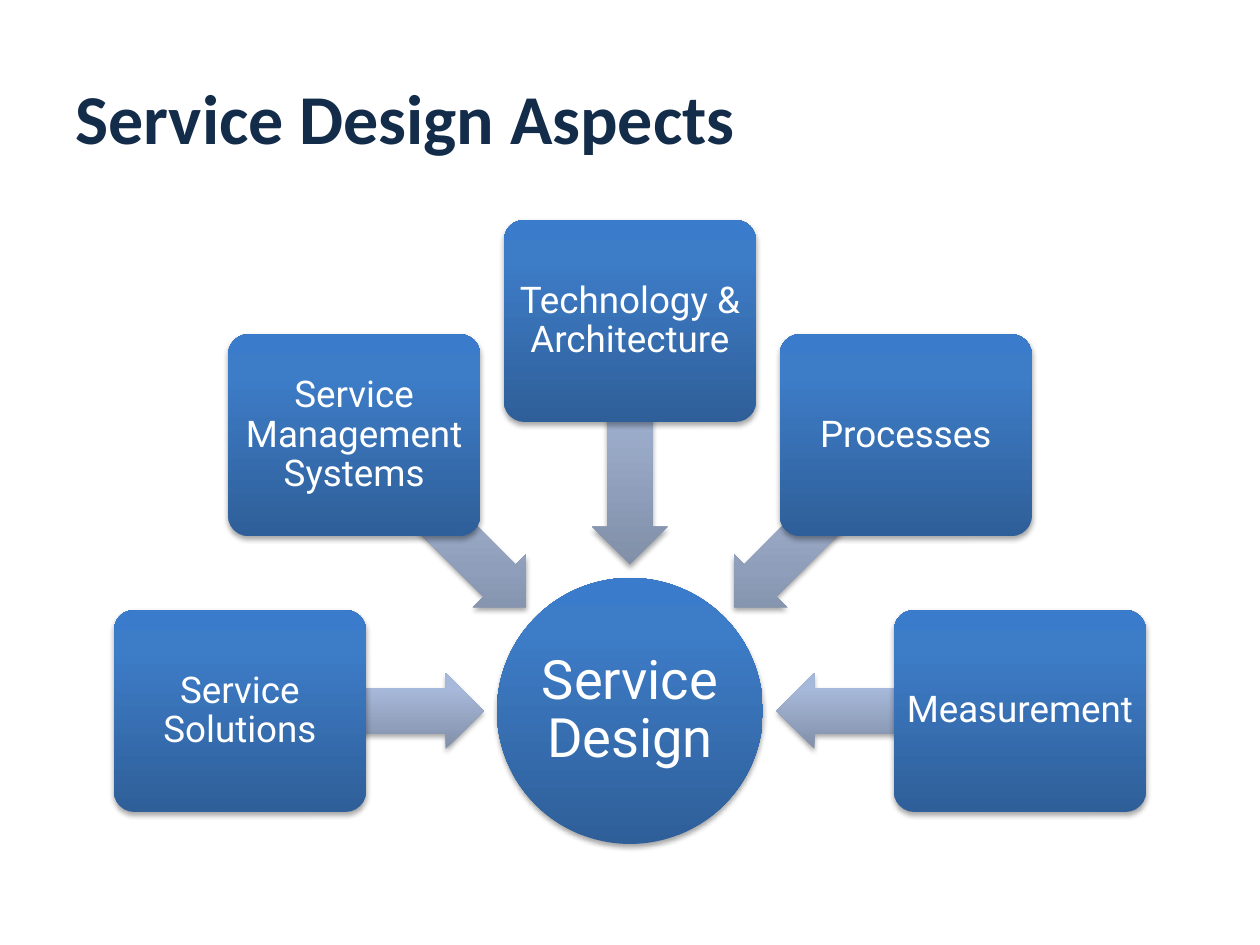
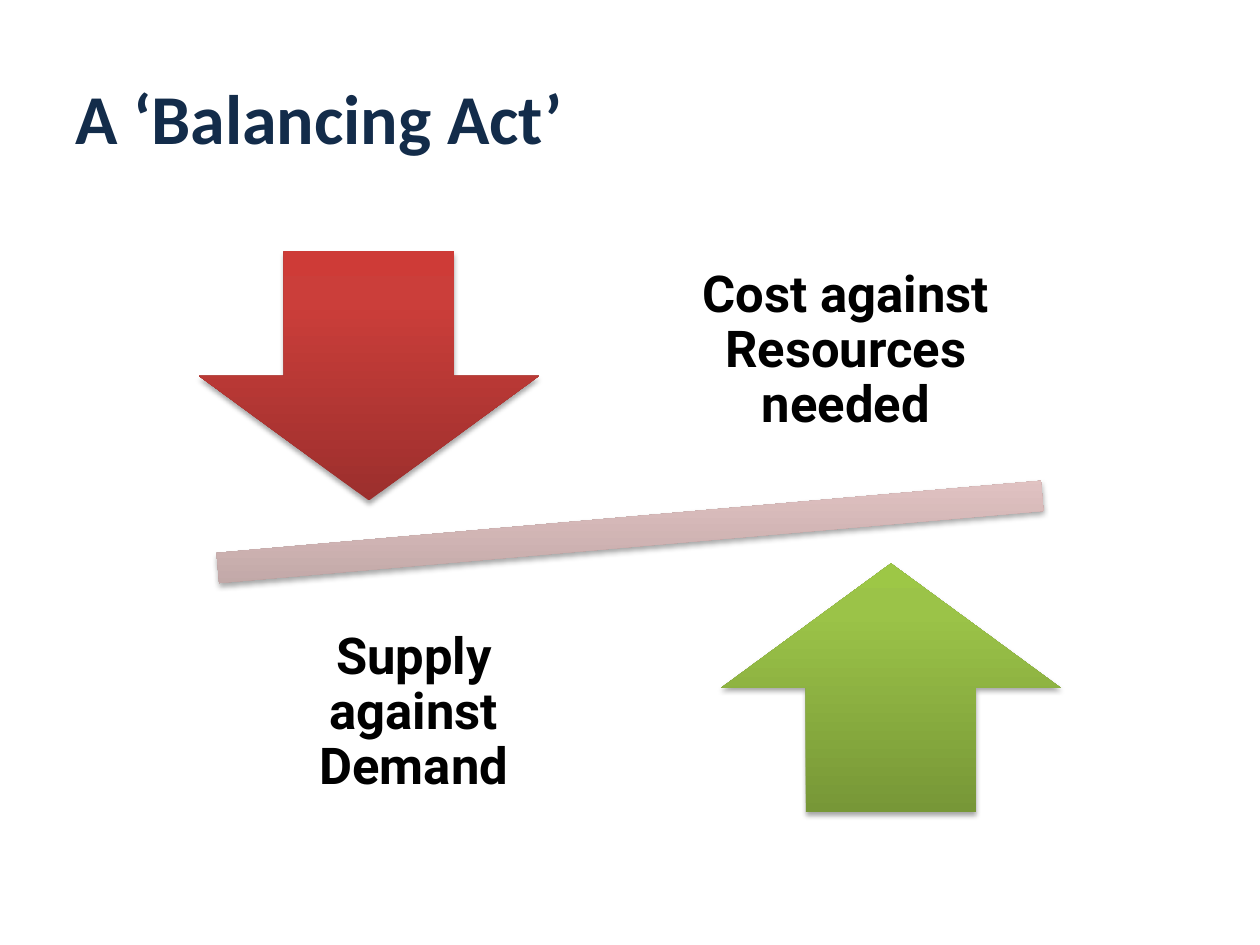
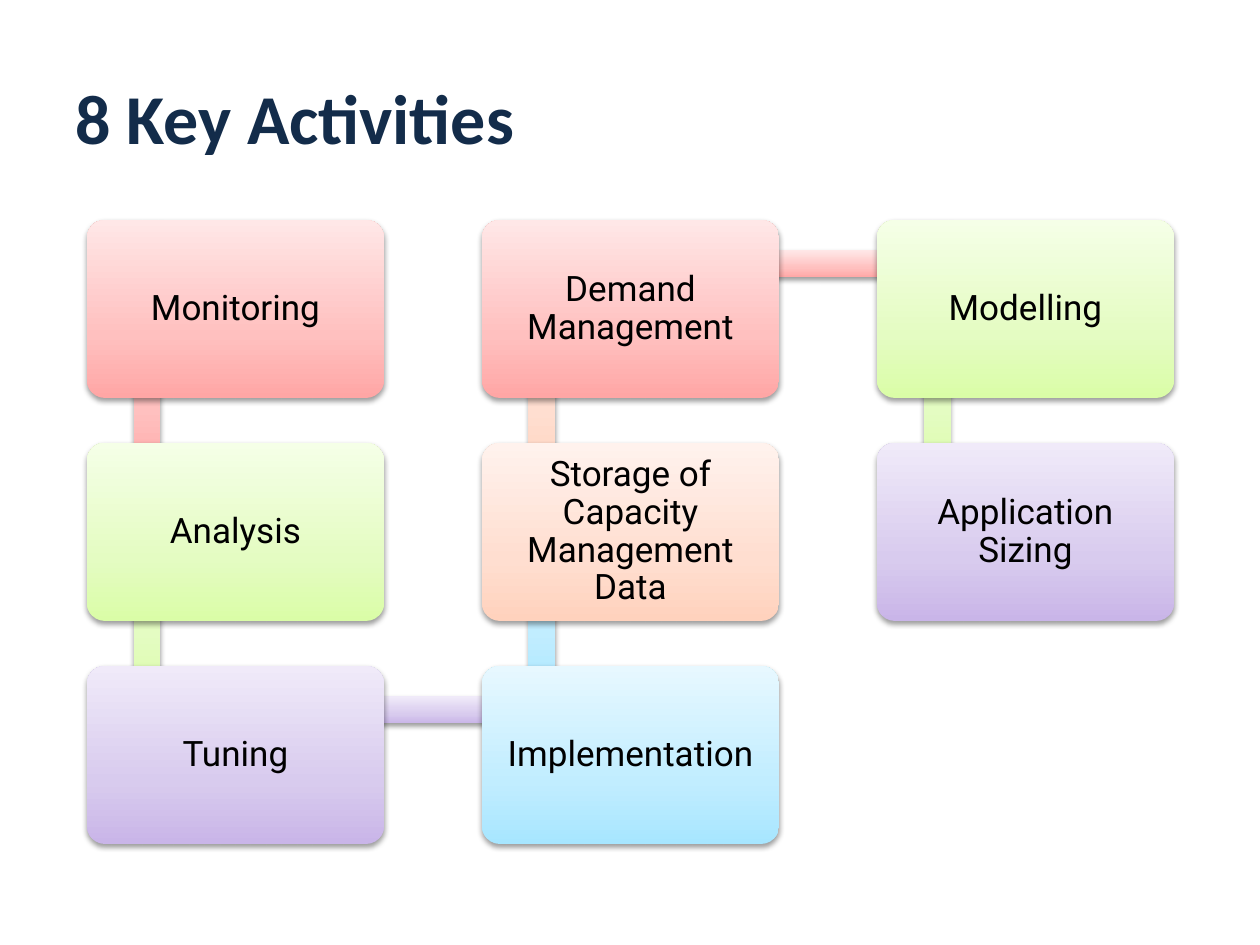
from dataclasses import dataclass, field
from itertools import cycle
from math import atan2, cos, degrees, hypot, radians, sin
from typing import NamedTuple

from pptx import Presentation
from pptx import util as u
from pptx.dml import color
from pptx.enum import shapes, text
from pptx.oxml import ns, parse_xml

KIND = shapes.MSO_SHAPE
EMU_PER_PX = 914400 / 126


class Box(NamedTuple):
    x: int
    y: int
    w: int
    h: int

    @property
    def center(self):
        return self.x + self.w / 2, self.y + self.h / 2


class Shadow(NamedTuple):
    opacity: int
    distance: float
    blur: float = 3.1


def font(size, hue, name="Roboto", bold=False):
    return {"size": u.Pt(size), "name": name, "bold": bold,
            "color": color.RGBColor.from_string(hue)}


def ramp(middle, *hues):
    return tuple(zip((0, middle, 100), hues))


@dataclass(frozen=True)
class Theme:
    title: dict = field(default_factory=lambda: font(40, "132C4A", "Calibri", True))
    hub: dict = field(default_factory=lambda: font(31, "FFFFFF"))
    aspect: dict = field(default_factory=lambda: font(21, "FFFFFF"))
    weight: dict = field(default_factory=lambda: font(29, "000000", bold=True))
    activity: dict = field(default_factory=lambda: font(20, "000000"))
    blue: tuple = ramp(80, "2F5F99", "3D7CC7", "3A7CCB")
    steel: tuple = ramp(80, "818FA8", "A7B9DA", "A7BADC")
    beam: tuple = ramp(80, "B09998", "E5C6C6", "E6C7C6")
    red: tuple = ramp(80, "9C2F2D", "CB3E3A", "CE3B37")
    green: tuple = ramp(80, "779737", "9BC348", "9DC746")
    pastels: tuple = (
        ramp(35, "FFA6A5", "FFC0BF", "FFE7E7"),
        ramp(35, "DAFDA7", "E4FCC2", "F5FFE7"),
        ramp(35, "C9B5E8", "D8CBEE", "F0EAF9"),
        ramp(35, "A7E6FF", "C1EDFF", "E7F8FF"),
        ramp(35, "FFD2BD", "FFDED0", "FFF2ED"),
    )
    strong: Shadow = Shadow(35, 1.8)
    soft: Shadow = Shadow(38, 1.6)


THEME = Theme()
TITLE_BOX = Box(63, 38, 1134, 158)
DIAGRAM_BOX = Box(63, 220, 1134, 624)


def px(*lengths):
    return [u.Emu(round(length * EMU_PER_PX)) for length in lengths]


def centered(center, w, h):
    return Box(center[0] - w / 2, center[1] - h / 2, w, h)


def assign(target, values):
    for name, value in values.items():
        setattr(target, name, value)


def write(holder, words, style, inset=None, align=text.PP_ALIGN.CENTER, spacing=0.9):
    frame = holder.text_frame
    assign(frame, {"word_wrap": True, "vertical_anchor": text.MSO_ANCHOR.MIDDLE})
    if inset is not None:
        margin = px(inset)[0]
        assign(frame, {f"margin_{side}": margin
                       for side in ("left", "top", "right", "bottom")})
    line = frame.paragraphs[0]
    assign(line, {"alignment": align, "line_spacing": spacing})
    run = line.add_run()
    run.text = words
    assign(run.font, {key: value for key, value in style.items() if key != "color"})
    run.font.color.rgb = style["color"]


def label(slide, box, words, style, **layout):
    write(slide.shapes.add_textbox(*px(*box)), words, style, **layout)


def solid(slide, kind, box, stops, shadow, rotation=0, adjust=()):
    body = slide.shapes.add_shape(kind, *px(*box))
    body.rotation = rotation
    for index, value in enumerate(adjust):
        body.adjustments[index] = value
    body.line.fill.background()
    marks = "".join(f'<a:gs pos="{at * 1000}"><a:srgbClr val="{hue}"/></a:gs>'
                    for at, hue in stops)
    properties = body._element.spPr
    properties.insert(2, parse_xml(
        f'<a:gradFill {ns.nsdecls("a")} rotWithShape="0"><a:gsLst>{marks}</a:gsLst>'
        '<a:lin ang="16200000" scaled="0"/></a:gradFill>'))
    properties.append(parse_xml(
        f'<a:effectLst {ns.nsdecls("a")}><a:outerShdw blurRad="{u.Pt(shadow.blur)}" '
        f'dist="{u.Pt(shadow.distance)}" dir="5400000" rotWithShape="0">'
        f'<a:srgbClr val="000000"><a:alpha val="{shadow.opacity * 1000}"/></a:srgbClr>'
        '</a:outerShdw></a:effectLst>'))
    return body


def titled_slide(deck, title):
    slide = deck.slides.add_slide(deck.slide_layouts[6])
    label(slide, TITLE_BOX, title, THEME.title,
          align=text.PP_ALIGN.LEFT, spacing=1.0)
    return slide


def converging_aspects(slide, box, hub, aspects):
    hub_center = box.center[0], box.y + box.h - 133

    def around(radius, angle):
        return (hub_center[0] + radius * cos(radians(angle)),
                hub_center[1] + radius * sin(radians(angle)))

    core = solid(slide, KIND.OVAL, centered(hub_center, 266, 266),
                 THEME.blue, THEME.strong)
    write(core, hub, THEME.hub, inset=2)
    step = 180 / (len(aspects) - 1)
    for index, aspect in enumerate(aspects):
        angle = 180 + index * step
        solid(slide, KIND.LEFT_ARROW, centered(around(268, angle), 243, 76),
              THEME.steel, THEME.strong, angle % 360, (0.6, 0.5))
        card = solid(slide, KIND.ROUNDED_RECTANGLE,
                     centered(around(390, angle), 252, 202),
                     THEME.blue, THEME.strong, adjust=(0.1,))
        write(card, aspect, THEME.aspect, inset=5)


def seesaw(slide, box, upper, lower):
    middle_x, middle_y = box.center
    solid(slide, KIND.MATH_MINUS, centered(box.center, 1126, 129),
          THEME.beam, THEME.strong, 355)
    sides = ((-1, KIND.DOWN_ARROW, THEME.red, upper),
             (1, KIND.UP_ARROW, THEME.green, lower))
    for side, arrow, stops, words in sides:
        solid(slide, arrow,
              centered((middle_x + side * 261, middle_y + side * 156), 340, 249),
              stops, THEME.strong)
        label(slide,
              centered((middle_x - side * 216, middle_y + side * 181), 363, 262),
              words, THEME.weight, inset=29)


def snaking_activities(slide, box, activities, rows=3):
    column_pitch, row_pitch = 395, 223
    cards = []
    for index in range(len(activities)):
        column, row = divmod(index, rows)
        if column % 2:
            row = rows - 1 - row
        cards.append(Box(box.x + 24 + column * column_pitch,
                         box.y + row * row_pitch, 297, 178))
    following = cards[1:] + [None]
    for activity, card, target, stops in zip(activities, cards, following,
                                             cycle(THEME.pastels)):
        if target:
            run, drop = target.x - card.x, target.y - card.y
            middle = card.x + 60 + run / 2, card.y + 44 + drop / 2
            solid(slide, KIND.RECTANGLE, centered(middle, hypot(run, drop), 27),
                  stops, THEME.soft, degrees(atan2(drop, run)) % 360)
        body = solid(slide, KIND.ROUNDED_RECTANGLE, card, stops, THEME.soft,
                     adjust=(0.1,))
        write(body, activity, THEME.activity, inset=10)


def main():
    deck = Presentation()
    deck.slide_width, deck.slide_height = px(1260, 945)
    converging_aspects(
        titled_slide(deck, "Service Design Aspects"), DIAGRAM_BOX, "Service Design",
        ["Service Solutions", "Service Management Systems",
         "Technology & Architecture", "Processes", "Measurement"])
    seesaw(titled_slide(deck, "A ‘Balancing Act’"), DIAGRAM_BOX,
           "Cost against Resources needed", "Supply against Demand")
    snaking_activities(
        titled_slide(deck, "8 Key Activities"), DIAGRAM_BOX,
        ["Monitoring", "Analysis", "Tuning", "Implementation",
         "Storage of Capacity Management Data", "Demand Management",
         "Modelling", "Application Sizing"])
    deck.save("out.pptx")


if __name__ == "__main__":
    main()
